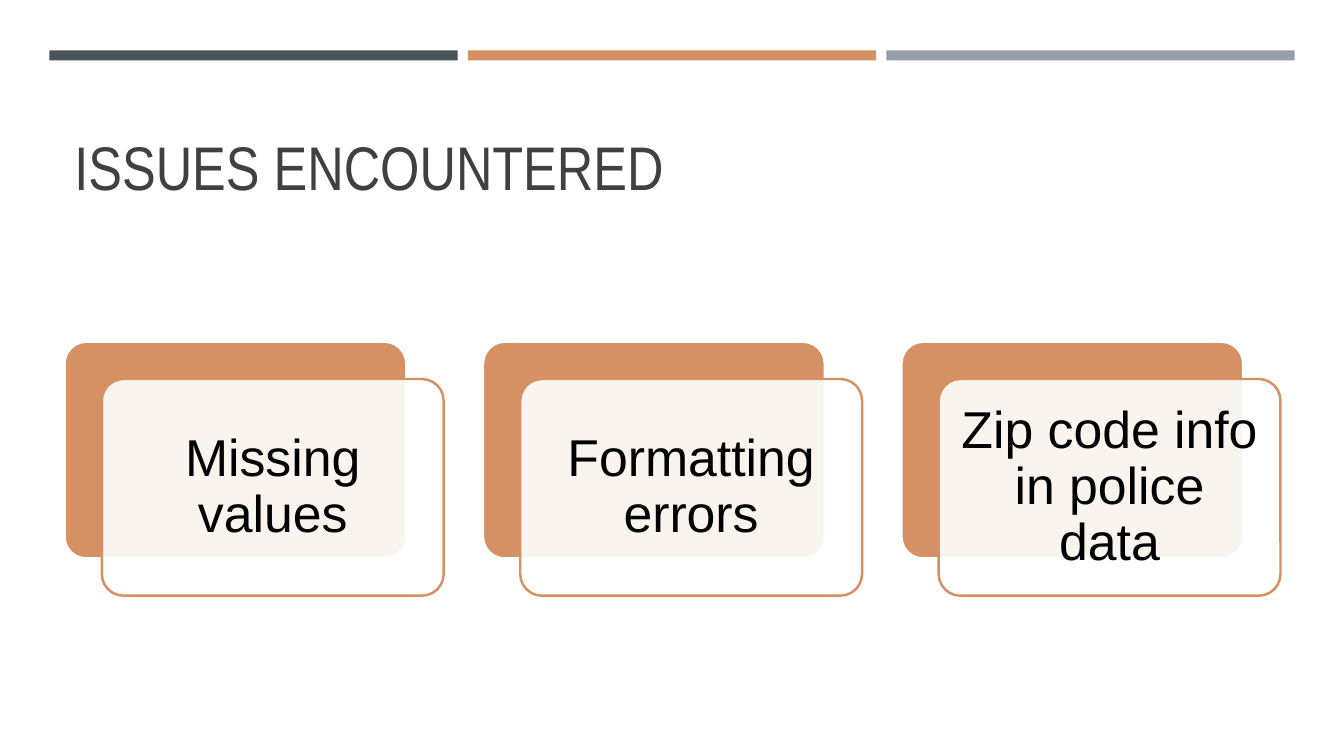
from dataclasses import dataclass

from lxml import etree
from pptx import Presentation
from pptx.dml.color import RGBColor as RGB
from pptx.enum.shapes import MSO_SHAPE as SHAPE
from pptx.enum.text import MSO_ANCHOR as ANCHOR, PP_ALIGN as ALIGN
from pptx.oxml.ns import qn
from pptx.util import Inches, Pt


@dataclass(frozen=True)
class Theme:
    slate: RGB = RGB(0x46, 0x53, 0x59)
    orange: RGB = RGB(0xD5, 0x91, 0x64)
    gray: RGB = RGB(0x96, 0x9F, 0xA7)
    white: RGB = RGB(0xFF, 0xFF, 0xFF)
    title_color: RGB = RGB(0x40, 0x40, 0x40)
    black: RGB = RGB(0, 0, 0)
    title_font: str = "Arial Narrow"
    body_font: str = "Arial"
    title_size: float = 44
    body_size: float = 37
    line_width: float = 1.75


THEME = Theme()
ISSUES = ["Missing values", "Formatting errors", "Zip code info in police data"]


def add_box(slide, kind, box, fill, line=None, alpha=None):
    sp = slide.shapes.add_shape(kind, *map(Inches, box))
    sp.shadow.inherit = False
    sp.fill.solid()
    sp.fill.fore_color.rgb = fill
    if alpha is not None:
        color = sp.fill._xPr.find(qn("a:solidFill"))[0]
        etree.SubElement(color, qn("a:alpha"), val=str(alpha * 1000))
    if line is None:
        sp.line.fill.background()
    else:
        sp.line.color.rgb = line
        sp.line.width = Pt(THEME.line_width)
    return sp


def add_text(slide, box, text, frame, font, color, align=ALIGN.LEFT):
    tf = slide.shapes.add_textbox(*map(Inches, box)).text_frame
    for name, value in {"word_wrap": True, **frame}.items():
        setattr(tf, name, value)
    p = tf.paragraphs[0]
    p.alignment = align
    p.line_spacing = 0.9
    r = p.add_run()
    r.text = text
    for name, value in font.items():
        setattr(r.font, name, value)
    r.font.color.rgb = color


def add_bars(slide, box):
    """Three coloured bars across the top."""
    left, top, width, height = box
    gap = 0.1
    bar = (width - 2 * gap) / 3
    for i, color in enumerate([THEME.slate, THEME.orange, THEME.gray]):
        add_box(slide, SHAPE.RECTANGLE,
                (left + i * (bar + gap), top, bar, height), color)


def add_title(slide, box, text):
    font = {"name": THEME.title_font, "size": Pt(THEME.title_size)}
    add_text(slide, box, text, {"vertical_anchor": ANCHOR.BOTTOM},
             font, THEME.title_color)


def add_card(slide, box, text):
    """Solid card behind a translucent one that carries the text."""
    left, top, width, height = box
    offset, pad = 0.37, 0.06
    w, h = width - offset, height - offset
    x, y = left + offset, top + offset

    # Back and front cards
    back = add_box(slide, SHAPE.ROUNDED_RECTANGLE, (left, top, w, h),
                   THEME.orange, THEME.white)
    front = add_box(slide, SHAPE.ROUNDED_RECTANGLE, (x, y, w, h),
                    THEME.white, THEME.orange, alpha=90)
    for sp in (back, front):
        sp.adjustments[0] = 0.1

    # Label
    margins = {f"margin_{side}": Inches(0.15)
               for side in ("left", "top", "right", "bottom")}
    font = {"name": THEME.body_font, "size": Pt(THEME.body_size)}
    add_text(slide, (x + pad, y + pad, w - 2 * pad, h - 2 * pad), text,
             {"vertical_anchor": ANCHOR.MIDDLE, **margins},
             font, THEME.black, ALIGN.CENTER)


def add_cards(slide, box, texts):
    """Row of equal cards."""
    left, top, width, height = box
    gap = 0.39
    card = (width - gap * (len(texts) - 1)) / len(texts)
    for i, text in enumerate(texts):
        add_card(slide, (left + i * (card + gap), top, card, height), text)


def main():
    prs = Presentation()
    prs.slide_width, prs.slide_height = Inches(13.33), Inches(7.5)
    slide = prs.slides.add_slide(prs.slide_layouts[6])
    add_bars(slide, (0.49, 0.5, 12.35, 0.1))
    add_title(slide, (0.64, 0.77, 12.06, 1.3), "ISSUES ENCOUNTERED")
    add_cards(slide, (0.64, 3.39, 12.06, 2.52), ISSUES)
    prs.save("out.pptx")


if __name__ == "__main__":
    main()
